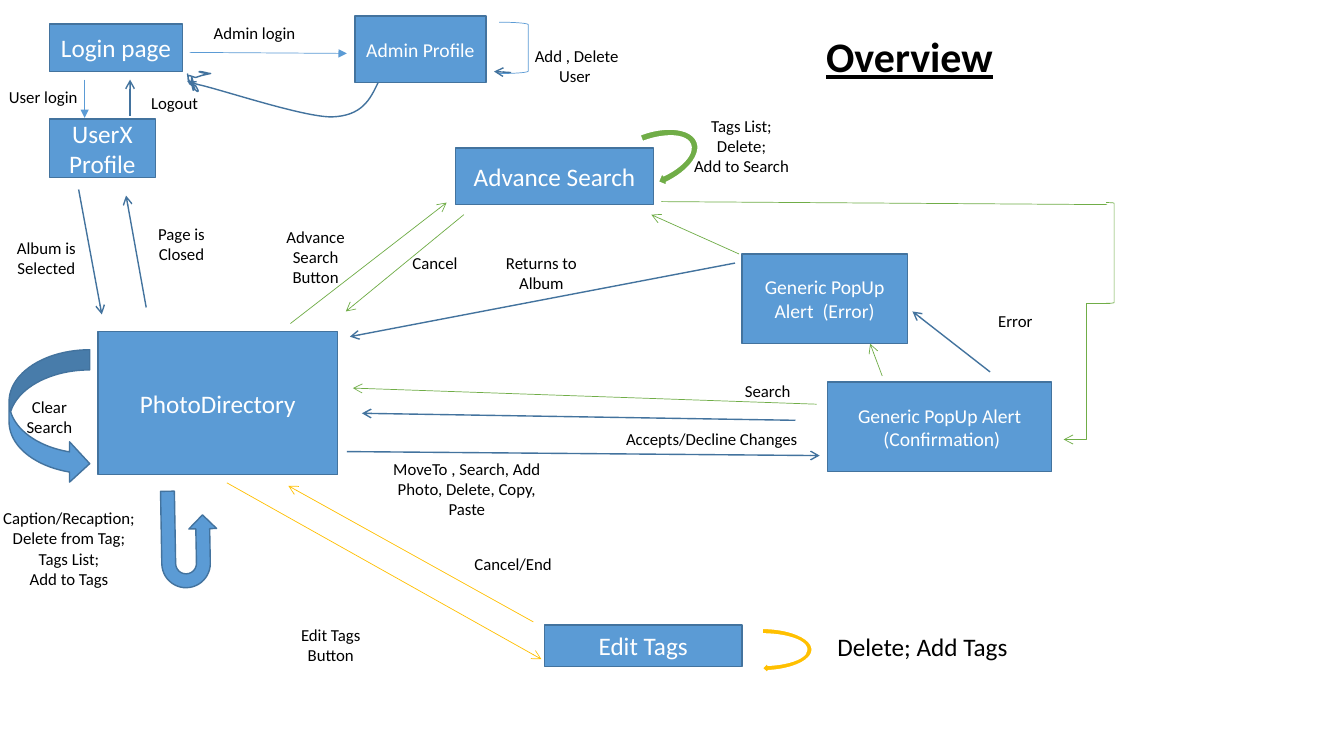
from dataclasses import dataclass
from typing import NamedTuple

from lxml.etree import Element, SubElement
from pptx import Presentation
from pptx.dml.color import RGBColor
from pptx.enum.shapes import MSO_CONNECTOR, MSO_SHAPE
from pptx.enum.text import MSO_ANCHOR, MSO_AUTO_SIZE, PP_ALIGN
from pptx.oxml.ns import qn
from pptx.util import Emu, Pt

FONT = "Calibri"
NBSP = chr(160)
BLUE = RGBColor(0x5B, 0x9B, 0xD5)
NAVY = RGBColor(0x43, 0x73, 0x9E)
GREEN = RGBColor(0x70, 0xAD, 0x47)
GOLD = RGBColor(0xFF, 0xC0, 0x00)
BLACK = RGBColor(0, 0, 0)
WHITE = RGBColor(0xFF, 0xFF, 0xFF)


def px(n: int) -> Emu:
    """100 px make one inch."""
    return Emu(n * 9144)


class Box(NamedTuple):
    x: int
    y: int
    w: int
    h: int

    def emu(self) -> list[Emu]:
        return [px(n) for n in self]


class Point(NamedTuple):
    x: int
    y: int


@dataclass
class Page:
    text: str
    box: Box
    size: int = 18


@dataclass
class Label:
    text: str
    box: Box
    align: PP_ALIGN | None = PP_ALIGN.CENTER
    size: int = 12


@dataclass
class Arrow:
    start: Point
    end: Point
    color: RGBColor = NAVY
    head: str | None = "arrow"
    kind: MSO_CONNECTOR = MSO_CONNECTOR.STRAIGHT


@dataclass
class Loop:
    kind: MSO_SHAPE
    box: Box
    fill: RGBColor | None
    line: RGBColor
    width: float
    rotation: int = 0
    text: str = ""


PAGES = [
    Page("Login page", Box(49, 24, 132, 47)),
    Page("Admin Profile", Box(352, 16, 130, 66), 14),
    Page("UserX Profile", Box(49, 118, 105, 58)),
    Page("PhotoDirectory", Box(97, 329, 238, 142)),
    Page(f"Generic PopUp Alert {NBSP}(Confirmation)", Box(821, 379, 222, 89), 14),
    Page("Advance Search", Box(452, 147, 196, 56)),
    Page("Edit Tags", Box(540, 620, 196, 41)),
    Page(f"Generic PopUp Alert {NBSP}(Error)", Box(736, 252, 164, 89), 14),
]

LABELS = [
    Label("Admin login", Box(202, 18, 151, 30), None),
    Label("Logout", Box(140, 87, 125, 30), None),
    Label("User login", Box(-1, 81, 92, 30), None),
    Label(f"Add , Delete User{NBSP}", Box(506, 40, 132, 50)),
    Label("Album is Selected", Box(-5, 231, 102, 50)),
    Label("Page is Closed", Box(129, 217, 102, 50)),
    Label("Advance Search Button", Box(262, 220, 102, 71)),
    Label("MoveTo , Search, Add Photo, Delete, Copy, Paste", Box(379, 450, 168, 71)),
    Label("Error", Box(956, 303, 102, 30)),
    Label("Returns to Album", Box(486, 246, 102, 50)),
    Label("Accepts/Decline Changes", Box(582, 420, 248, 30)),
    Label("Edit Tags Button", Box(277, 615, 102, 50)),
    Label("Caption/Recaption;\nDelete from Tag;\nTags List;\nAdd to Tags", Box(-10, 499, 157, 91)),
    Label("Tags List;\nDelete;\nAdd to Search", Box(632, 110, 207, 71)),
    Label("Search", Box(695, 373, 133, 30)),
    Label("Cancel", Box(390, 246, 83, 30)),
    Label("Delete; Add Tags", Box(765, 621, 300, 40), size=18),
    Label("Cancel/End", Box(359, 544, 300, 30)),
]

ARROWS = [
    Arrow(Point(188, 52), Point(344, 53), BLUE, "triangle"),
    Arrow(Point(84, 79), Point(84, 117), BLUE, "triangle"),
    Arrow(Point(129, 115), Point(129, 79)),
    Arrow(Point(507, 72), Point(490, 71)),
    Arrow(Point(288, 321), Point(443, 201), GREEN),
    Arrow(Point(225, 479), Point(537, 654), GOLD),
    Arrow(Point(729, 261), Point(347, 334)),
    Arrow(Point(982, 369), Point(905, 309)),
    Arrow(Point(344, 448), Point(813, 452)),
    Arrow(Point(789, 417), Point(359, 410)),
    Arrow(Point(78, 188), Point(101, 312)),
    Arrow(Point(145, 305), Point(125, 194)),
    Arrow(Point(1101, 301), Point(1055, 436), GREEN, kind=MSO_CONNECTOR.ELBOW),
    Arrow(Point(656, 200), Point(1098, 203), GREEN, None),
    Arrow(Point(733, 252), Point(646, 213), GREEN),
    Arrow(Point(875, 373), Point(863, 341), GREEN),
    Arrow(Point(810, 401), Point(350, 385), GREEN),
    Arrow(Point(460, 213), Point(343, 309), GREEN),
    Arrow(Point(529, 617), Point(286, 482), GOLD),
]

LOOPS = [
    Loop(MSO_SHAPE.RIGHT_BRACKET, Box(495, 22, 29, 51), None, BLUE, 0.5),
    Loop(MSO_SHAPE.RIGHT_BRACKET, Box(1097, 201, 8, 100), None, GREEN, 0.5),
    Loop(MSO_SHAPE.CURVED_RIGHT_ARROW, Box(9, 347, 80, 133), BLUE, NAVY, 1, text="Clear Search"),
    Loop(MSO_SHAPE.U_TURN_ARROW, Box(160, 487, 55, 96), BLUE, NAVY, 1, 179),
    Loop(MSO_SHAPE.CIRCULAR_ARROW, Box(613, 104, 62, 110), GREEN, WHITE, 1.5, 69),
    Loop(MSO_SHAPE.CIRCULAR_ARROW, Box(731, 591, 49, 107), GOLD, WHITE, 1.5, 90),
]

# Each stroke: a start, then segments of one point (line) or three (curve).
LOGOUT_CURVE = [
    (375, 82), (367, 99, 359, 115, 329, 116), (300, 116, 220, 89, 197, 84),
    (175, 78, 194, 82, 195, 81),
]
LOGOUT_SCRIBBLE = [
    (186, 73), (187, 77, 186, 80, 188, 83), (189, 85, 193, 84, 194, 85),
    (195, 87, 198, 91, 196, 91), (194, 91, 193, 88, 192, 85),
    (191, 83, 190, 77, 190, 79), (190, 83, 192, 93, 192, 89),
    (192, 85, 190, 81, 190, 77), (190, 74, 194, 90, 192, 87),
    (189, 84, 184, 74, 188, 75), (194, 77), (206, 73), (200, 75), (209, 73),
    (206, 73, 202, 71, 198, 71), (195, 71, 203, 73, 206, 73),
    (207, 73, 208, 73, 209, 73),
]


def write(shape, text: str, size: int, color: RGBColor, align: PP_ALIGN | None) -> None:
    tf = shape.text_frame
    tf.word_wrap = True
    tf.text = text
    for p in tf.paragraphs:
        p.alignment = align
        p.font.name, p.font.size = FONT, Pt(size)
        p.font.color.rgb = color


def add_outlined(s, kind: MSO_SHAPE, box: Box, fill: RGBColor | None, line: RGBColor, width: float):
    sp = s.shapes.add_shape(kind, *box.emu())
    sp.shadow.inherit = False
    if fill is None:
        sp.fill.background()
    else:
        sp.fill.solid()
        sp.fill.fore_color.rgb = fill
    sp.line.color.rgb, sp.line.width = line, Pt(width)
    return sp


def add_page(s, page: Page) -> None:
    sp = add_outlined(s, MSO_SHAPE.RECTANGLE, page.box, BLUE, NAVY, 1)
    sp.text_frame.vertical_anchor = MSO_ANCHOR.MIDDLE
    write(sp, page.text, page.size, WHITE, PP_ALIGN.CENTER)


def add_loop(s, loop: Loop) -> None:
    sp = add_outlined(s, loop.kind, loop.box, loop.fill, loop.line, loop.width)
    sp.rotation = loop.rotation
    if loop.kind == MSO_SHAPE.U_TURN_ARROW:
        sp.element.spPr.find(qn("a:xfrm")).set("flipH", "1")
    if loop.text:
        write(sp, loop.text, 12, BLACK, PP_ALIGN.CENTER)


def add_label(s, label: Label) -> None:
    sp = s.shapes.add_textbox(*label.box.emu())
    write(sp, label.text, label.size, BLACK, label.align)
    sp.text_frame.auto_size = MSO_AUTO_SIZE.SHAPE_TO_FIT_TEXT


def add_arrow(s, arrow: Arrow) -> None:
    c = s.shapes.add_connector(arrow.kind, *map(px, arrow.start + arrow.end))
    c.line.color.rgb = arrow.color
    c.line.width = Pt(1 if arrow.color == NAVY else 0.5)
    if arrow.head:
        SubElement(c.element.spPr.find(qn("a:ln")), qn("a:tailEnd"), type=arrow.head)
    SubElement(c.element.spPr, qn("a:effectLst"))


def add_stroke(s, stroke: list[tuple[int, ...]]) -> None:
    """Draw an open outline, turning its three-point segments into cubic curves."""
    first, *rest = [(px(x), px(y)) for *_, x, y in stroke]
    builder = s.shapes.build_freeform(*first)
    builder.add_line_segments(rest, close=False)
    sp = builder.convert_to_shape()
    sp.shadow.inherit = False
    sp.fill.background()
    sp.line.color.rgb, sp.line.width = NAVY, Pt(1)
    segments = list(sp.element.iter(qn("a:lnTo")))
    for segment, coords in zip(segments, stroke[1:]):
        if len(coords) == 6:
            curve = Element(qn("a:cubicBezTo"))
            for x, y in zip(coords[::2], coords[1::2]):
                SubElement(curve, qn("a:pt"), x=str(px(x) - sp.left), y=str(px(y) - sp.top))
            segment.getparent().replace(segment, curve)


def add_title(s) -> None:
    title, subtitle = s.placeholders
    subtitle.element.getparent().remove(subtitle.element)
    title.left, title.top, title.width, title.height = Box(661, -10, 482, 96).emu()
    write(title, "Overview", 30, BLACK, PP_ALIGN.CENTER)
    title.text_frame.vertical_anchor = MSO_ANCHOR.BOTTOM
    p = title.text_frame.paragraphs[0]
    p.line_spacing = 0.9
    p.font.bold = p.font.underline = True


def main() -> None:
    prs = Presentation()
    prs.slide_width, prs.slide_height = px(1333), px(750)
    s = prs.slides.add_slide(prs.slide_layouts[0])
    add_title(s)
    for page in PAGES:
        add_page(s, page)
    for loop in LOOPS:
        add_loop(s, loop)
    for stroke in (LOGOUT_CURVE, LOGOUT_SCRIBBLE):
        add_stroke(s, stroke)
    for arrow in ARROWS:
        add_arrow(s, arrow)
    for label in LABELS:
        add_label(s, label)
    prs.save("out.pptx")


if __name__ == "__main__":
    main()
